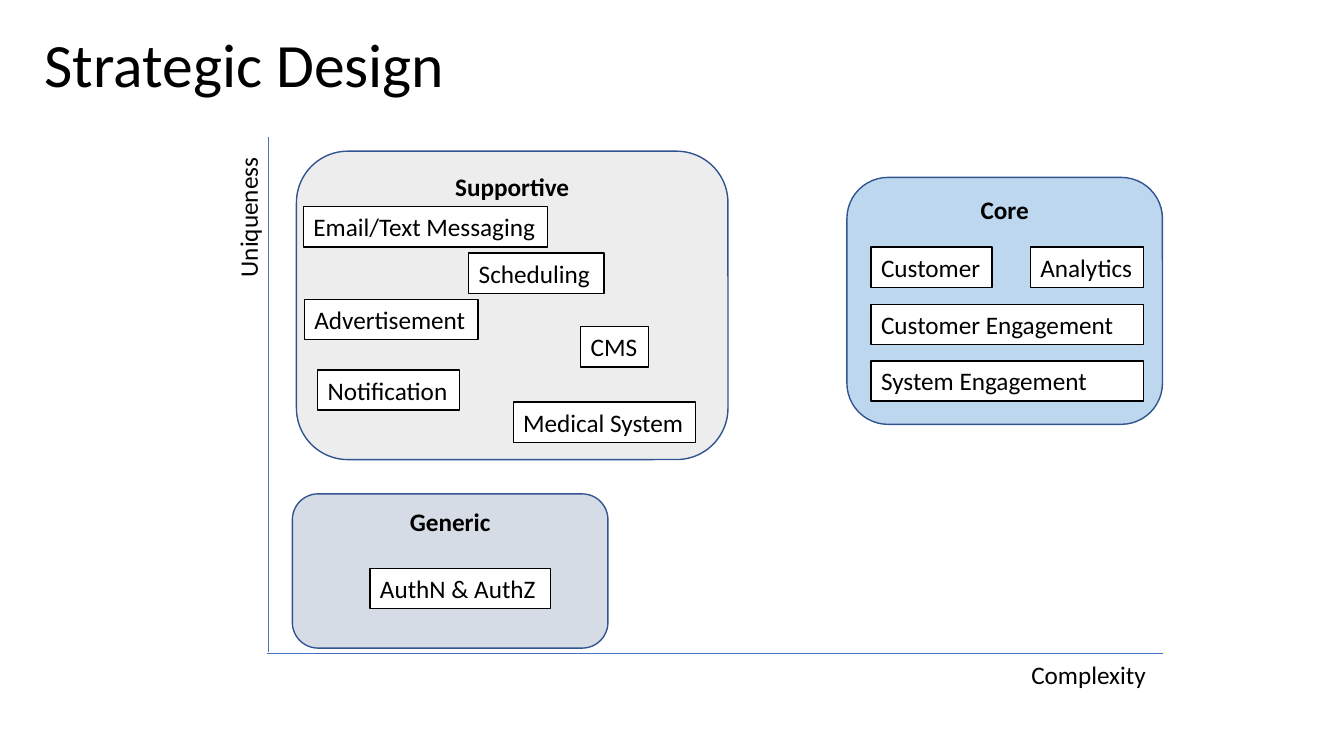
from lxml.etree import SubElement
from pptx import Presentation
from pptx.dml.color import RGBColor
from pptx.enum.shapes import MSO_CONNECTOR as Connector, MSO_SHAPE as Shape
from pptx.enum.text import MSO_ANCHOR as Anchor, MSO_AUTO_SIZE as AutoSize, PP_ALIGN as Align
from pptx.oxml.ns import qn
from pptx.util import Emu, Pt

PX = 9144
LABEL_HEIGHT = 40

DOMAINS = [
    ("Core", (840, 176, 313, 245), "BDD7EE"),
    ("Generic", (290, 490, 313, 153), "D6DCE5"),
    ("Supportive", (294, 150, 428, 306), "EDEDED"),
]
SUBDOMAINS = [
    ("Customer", 864, 245, 120, False),
    ("Analytics", 1022, 245, 112, False),
    ("Customer Engagement", 864, 302, 270, True),
    ("System Engagement", 864, 358, 270, True),
    ("Email/Text Messaging", 301, 205, 242, False),
    ("Advertisement", 302, 297, 172, False),
    ("Scheduling", 465, 251, 134, True),
    ("AuthN & AuthZ", 367, 564, 179, True),
    ("CMS", 576, 324, 67, False),
    ("Notification", 315, 367, 141, False),
    ("Medical System", 509, 399, 181, False),
]


def px(*lengths):
    return [Emu(length * PX) for length in lengths]


def color(value):
    return RGBColor.from_string(value)


class Sketch:
    font = "Calibri"
    ink = "000000"
    paper = "FFFFFF"
    axis_color = "4472C4"
    domain_line = "325491"
    text_size = 18

    def __init__(self, page):
        self.page = page

    def set_text(self, box, text, size=text_size, bold=False, align=Align.LEFT):
        frame = box.text_frame
        frame.text = text
        para = frame.paragraphs[0]
        para.alignment = align
        font = para.runs[0].font
        font.name, font.size, font.bold = self.font, Pt(size), bold
        font.color.rgb = color(self.ink)
        return para

    def title(self, text, place):
        box = self.page.shapes.title
        box.left, box.top, box.width, box.height = px(*place)
        para = self.set_text(box, text, size=44)
        para.line_spacing = 0.9
        box.text_frame.vertical_anchor = Anchor.MIDDLE
        box.text_frame.auto_size = AutoSize.NONE

    def axis(self, *ends):
        line = self.page.shapes.add_connector(Connector.STRAIGHT, *px(*ends))
        line.line.color.rgb = color(self.axis_color)
        line.line.width = Pt(0.5)
        SubElement(line._element.spPr, qn("a:effectLst"))

    def axis_label(self, text, left, top, width, rotation=0):
        box = self.page.shapes.add_textbox(*px(left, top, width, LABEL_HEIGHT))
        box.rotation = rotation
        self.set_text(box, text)
        box.text_frame.word_wrap = False
        box.text_frame.auto_size = AutoSize.SHAPE_TO_FIT_TEXT

    def shape(self, kind, place, fill, line):
        box = self.page.shapes.add_shape(kind, *px(*place))
        box.shadow.inherit = False
        box.fill.solid()
        box.fill.fore_color.rgb = color(fill)
        box.line.color.rgb = color(line)
        box.line.width = Pt(1)
        box.text_frame.vertical_anchor = Anchor.TOP
        return box

    def domain(self, text, place, fill):
        box = self.shape(Shape.ROUNDED_RECTANGLE, place, fill, self.domain_line)
        self.set_text(box, text, bold=True, align=Align.CENTER)

    def subdomain(self, text, left, top, width, wrap):
        place = (left, top, width, LABEL_HEIGHT)
        box = self.shape(Shape.RECTANGLE, place, self.paper, self.ink)
        self.set_text(box, text)
        box.text_frame.word_wrap = wrap
        box.text_frame.auto_size = AutoSize.SHAPE_TO_FIT_TEXT


def main():
    deck = Presentation()
    deck.slide_width, deck.slide_height = px(1333, 750)
    sketch = Sketch(deck.slides.add_slide(deck.slide_layouts[5]))
    sketch.title("Strategic Design", (34, 20, 1150, 95))
    sketch.axis(266, 136, 266, 647)
    sketch.axis(265, 648, 1153, 648)
    sketch.axis_label("Uniqueness", 176, 195, 140, rotation=270)
    sketch.axis_label("Complexity", 1013, 649, 135)
    for domain in DOMAINS:
        sketch.domain(*domain)
    for subdomain in SUBDOMAINS:
        sketch.subdomain(*subdomain)
    deck.save("out.pptx")


if __name__ == "__main__":
    main()
